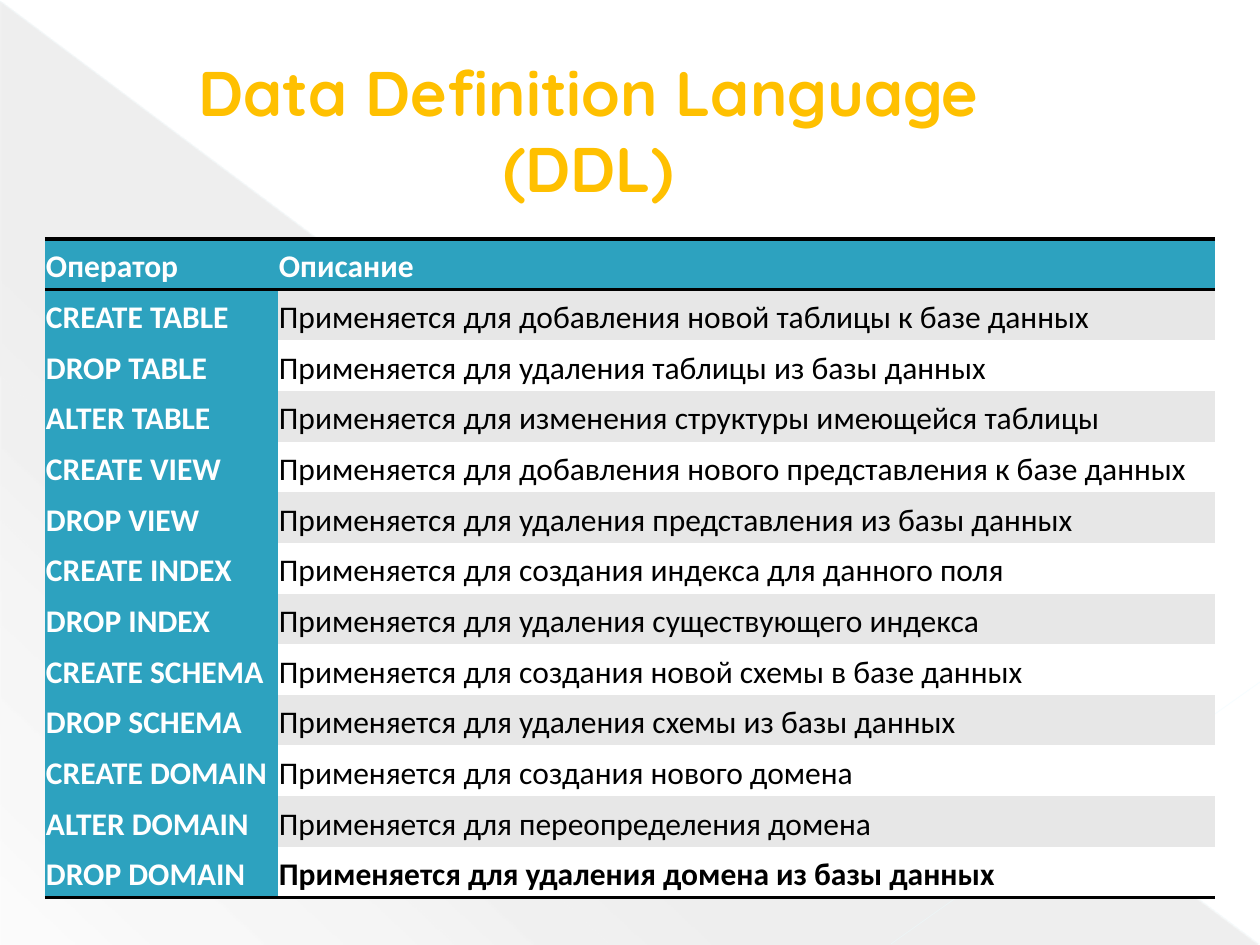
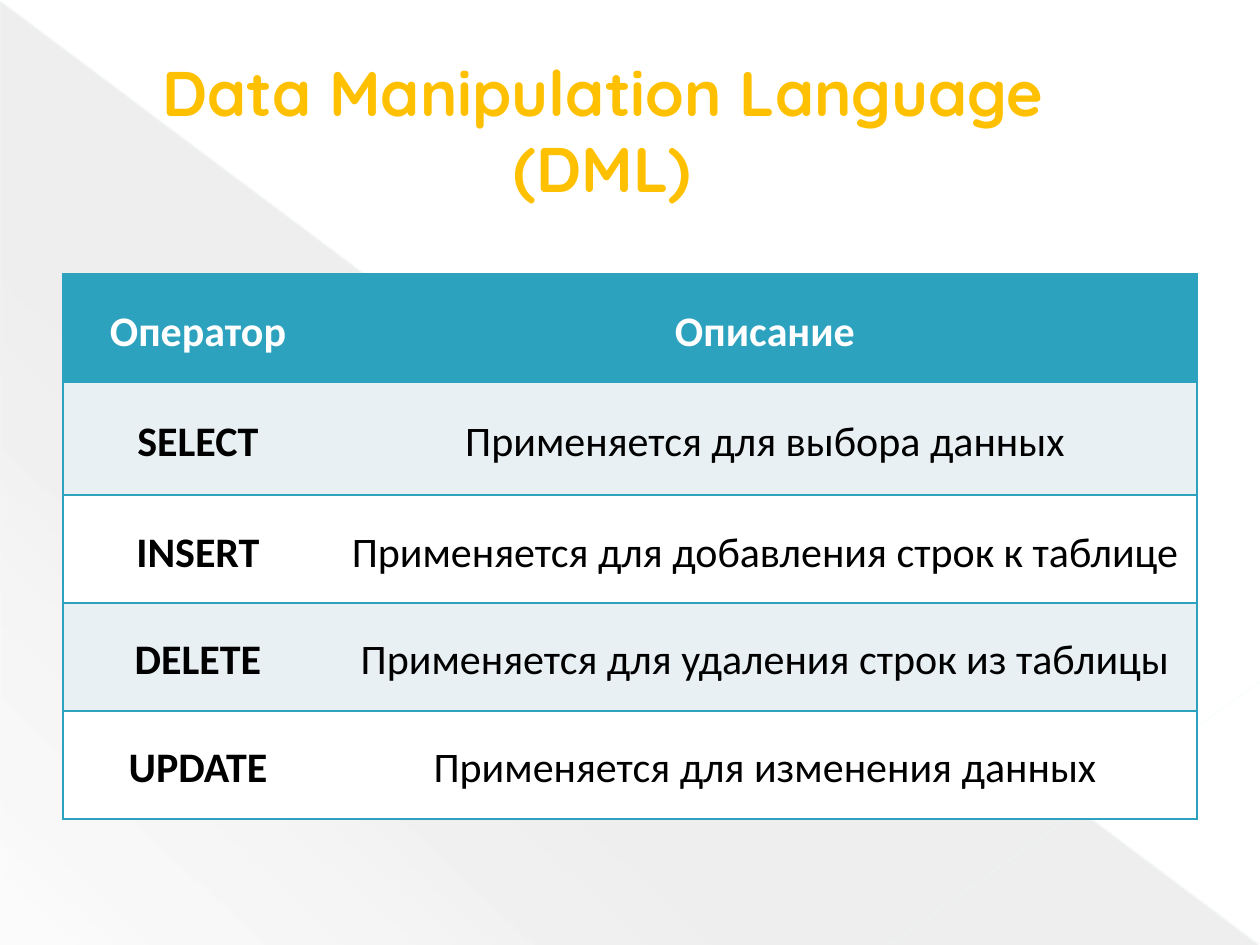
from dataclasses import dataclass

from lxml.etree import SubElement
from pptx import Presentation
from pptx.dml.color import RGBColor
from pptx.enum.shapes import MSO_CONNECTOR as Connector, MSO_SHAPE as Shape
from pptx.enum.text import MSO_ANCHOR as Anchor, MSO_AUTO_SIZE as AutoSize, PP_ALIGN as Align
from pptx.oxml.ns import qn
from pptx.util import Emu, Pt


@dataclass(frozen=True)
class Theme:
    title_font: str = "Quicksand"
    body_font: str = "Calibri"
    title_size: int = 36
    ddl_size: int = 18
    dml_size: int = 24
    gold: str = "FFC000"
    outline: str = "353535"
    teal: str = "2DA2BF"
    white: str = "FFFFFF"
    black: str = "000000"
    grey_band: str = "E7E7E7"
    blue_band: str = "E8F0F4"
    wedge: str = "464646"
    long_ray: str = "EBFBFF"
    short_ray: str = "EDFCFF"


THEME = Theme()
EMU_PER_PX = 914400 / 126
NO_GRID_STYLE = "{2D5ABB26-0587-4C30-8999-92F81FD0307C}"
HEADINGS = ("Оператор", "Описание")

DDL = [
    HEADINGS,
    ("CREATE TABLE", "Применяется для добавления новой таблицы к базе данных"),
    ("DROP TABLE", "Применяется для удаления таблицы из базы данных"),
    ("ALTER TABLE", "Применяется для изменения структуры имеющейся таблицы"),
    ("CREATE VIEW", "Применяется для добавления нового представления к базе данных"),
    ("DROP VIEW", "Применяется для удаления представления из базы данных"),
    ("CREATE INDEX", "Применяется для создания индекса для данного поля"),
    ("DROP INDEX", "Применяется для удаления существующего индекса"),
    ("CREATE SCHEMA", "Применяется для создания новой схемы в базе данных"),
    ("DROP SCHEMA", "Применяется для удаления схемы из базы данных"),
    ("CREATE DOMAIN", "Применяется для создания нового домена"),
    ("ALTER DOMAIN", "Применяется для переопределения домена"),
    ("DROP DOMAIN", "Применяется для удаления домена из базы данных"),
]
DML = [
    HEADINGS,
    ("SELECT", "Применяется для выбора данных"),
    ("INSERT", "Применяется для добавления строк к таблице"),
    ("DELETE", "Применяется для удаления строк из таблицы"),
    ("UPDATE", "Применяется для изменения данных"),
]


def px(length):
    return Emu(round(length * EMU_PER_PX))


def rgb(code):
    return RGBColor.from_string(code)


def apply(target, values):
    for attribute, value in values.items():
        setattr(target, attribute, value)


def add_colour(parent, code, opacity=100):
    colour = SubElement(parent, qn("a:srgbClr"), val=code)
    if opacity < 100:
        SubElement(colour, qn("a:alpha"), val=str(opacity * 1000))


def add_solid_fill(parent, code, opacity=100):
    add_colour(SubElement(parent, qn("a:solidFill")), code, opacity)


def add_wedge(slide):
    wedge = slide.shapes.add_shape(Shape.RIGHT_TRIANGLE, px(1), px(2), px(1258), px(943))
    wedge.shadow.inherit = False
    wedge.line.fill.background()
    wedge.fill.gradient()
    wedge.fill.gradient_angle = 360 - 133
    stops = wedge._element.spPr.find(".//" + qn("a:gsLst"))
    stops.clear()
    for position, opacity in ((0, 10), (70, 8), (100, 1)):
        stop = SubElement(stops, qn("a:gs"), pos=str(position * 1000))
        add_colour(stop, THEME.wedge, opacity)
    return wedge


def add_ray(slide, start, end, colour, width, opacity):
    ray = slide.shapes.add_connector(Connector.STRAIGHT, *map(px, start + end))
    ray.line.width = Pt(width)
    properties = ray._element.spPr
    add_solid_fill(properties.find(qn("a:ln")), colour, opacity)
    SubElement(properties, qn("a:effectLst"))
    return ray


def decorate_layout(layout, slide):
    backdrop = [
        add_wedge(slide),
        add_ray(slide, (0, 1), (1259, 944), THEME.long_ray, 0.39, 35),
        add_ray(slide, (1260, 682), (891, 944), THEME.short_ray, 0.47, 45),
    ]
    for depth, part in enumerate(backdrop, start=2):
        layout.shapes._spTree.insert(depth, part._element)


def set_title(slide, text, width):
    title = slide.shapes.title
    apply(title, {"left": px(43), "top": px(33), "width": px(width), "height": px(193)})
    frame = title.text_frame
    frame.text = text
    apply(frame, {"vertical_anchor": Anchor.MIDDLE, "word_wrap": True, "auto_size": AutoSize.NONE})
    paragraph = frame.paragraphs[0]
    paragraph.alignment = Align.CENTER
    apply_indent = paragraph._p.get_or_add_pPr().set
    for name, value in {"marL": str(px(67)), "indent": "0"}.items():
        apply_indent(name, value)
    run = paragraph.runs[0]
    outline = SubElement(run._r.get_or_add_rPr(), qn("a:ln"), w=str(Pt(0.5)))
    add_solid_fill(outline, THEME.outline)
    apply(run.font, {"name": THEME.title_font, "size": Pt(THEME.title_size), "bold": True})
    run.font.color.rgb = rgb(THEME.gold)


def set_borders(cell, sides, colour, width):
    properties = cell._tc.get_or_add_tcPr()
    for side in "LRTB":
        if side in sides:
            border = SubElement(properties, qn(f"a:ln{side}"), w=str(Pt(width)))
            add_solid_fill(border, colour)


def fill_cell(cell, text, size, align, colour, bold, fill):
    cell.text = text
    margins = dict.fromkeys(("margin_left", "margin_right", "margin_top", "margin_bottom"), px(1))
    apply(cell, {"vertical_anchor": Anchor.MIDDLE, **margins})
    cell.fill.solid()
    cell.fill.fore_color.rgb = rgb(fill)
    paragraph = cell.text_frame.paragraphs[0]
    apply(paragraph, {"alignment": align, "line_spacing": 1.15})
    font = paragraph.runs[0].font
    apply(font, {"name": THEME.body_font, "size": Pt(size), "bold": bold})
    font.color.rgb = rgb(colour)


def add_operators(slide, entries, corner, widths, height):
    frame = slide.shapes.add_table(
        len(entries), len(widths), *map(px, corner), px(sum(widths)), px(height))
    operators = frame.table
    apply(operators, {"first_col": True, "horz_banding": False})
    operators._tbl.tblPr.find(qn("a:tableStyleId")).text = NO_GRID_STYLE
    for column, width in zip(operators.columns, widths):
        column.width = px(width)
    return operators


def each_cell(operators, entries):
    for row, entry in enumerate(entries):
        for column, text in enumerate(entry):
            yield row, column, text, operators.cell(row, column)


def add_ddl_table(slide):
    operators = add_operators(slide, DDL, (45, 239), (233, 937), 659)
    last = len(DDL) - 1
    for row, column, text, cell in each_cell(operators, DDL):
        accented = row == 0 or column == 0
        band = THEME.grey_band if row % 2 else THEME.white
        rules = {0: "TB", last: "B"}.get(row, "")
        set_borders(cell, rules, THEME.black, 2)
        fill_cell(cell, text, THEME.ddl_size, Align.JUSTIFY,
                  THEME.white if accented else THEME.black,
                  accented or row == last,
                  THEME.teal if accented else band)


def add_dml_table(slide):
    operators = add_operators(slide, DML, (63, 274), (270, 864), 545)
    for row, height in enumerate((108, 113, 108, 108, 108)):
        operators.rows[row].height = px(height)
    for row, column, text, cell in each_cell(operators, DML):
        heading = row == 0
        band = THEME.blue_band if row % 2 else THEME.white
        set_borders(cell, "TB" + "LR"[column], THEME.teal, 1)
        fill_cell(cell, text, THEME.dml_size, Align.CENTER,
                  THEME.white if heading else THEME.black,
                  heading or column == 0,
                  THEME.teal if heading else band)


def main():
    deck = Presentation()
    apply(deck, {"slide_width": px(1260), "slide_height": px(945)})
    title_only = deck.slide_layouts[5]

    definition = deck.slides.add_slide(title_only)
    decorate_layout(title_only, definition)
    set_title(definition, "Data Definition Language (DDL)", 1024)
    add_ddl_table(definition)

    manipulation = deck.slides.add_slide(title_only)
    set_title(manipulation, "Data Manipulation Language (DML)", 1052)
    add_dml_table(manipulation)

    deck.save("out.pptx")


if __name__ == "__main__":
    main()
